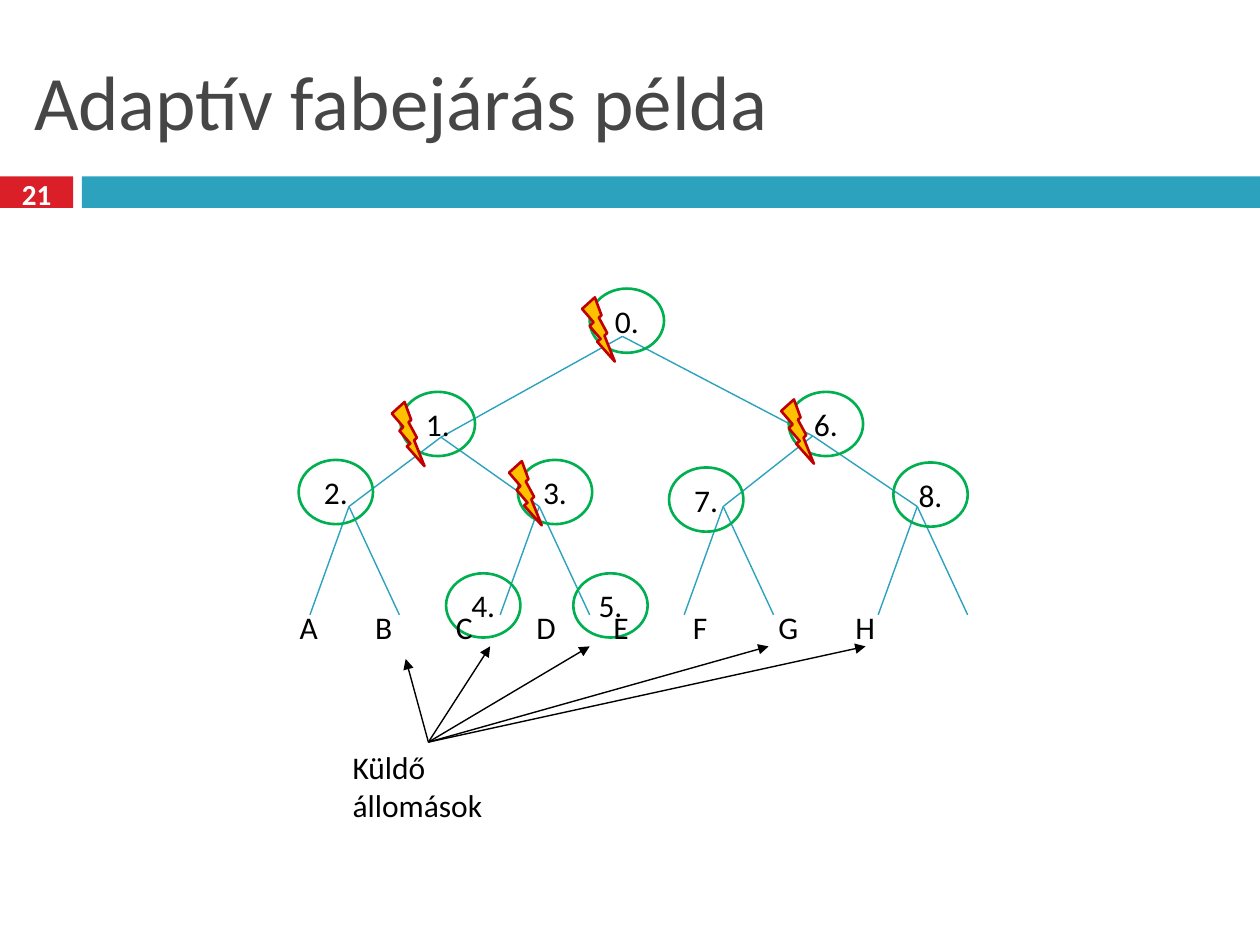
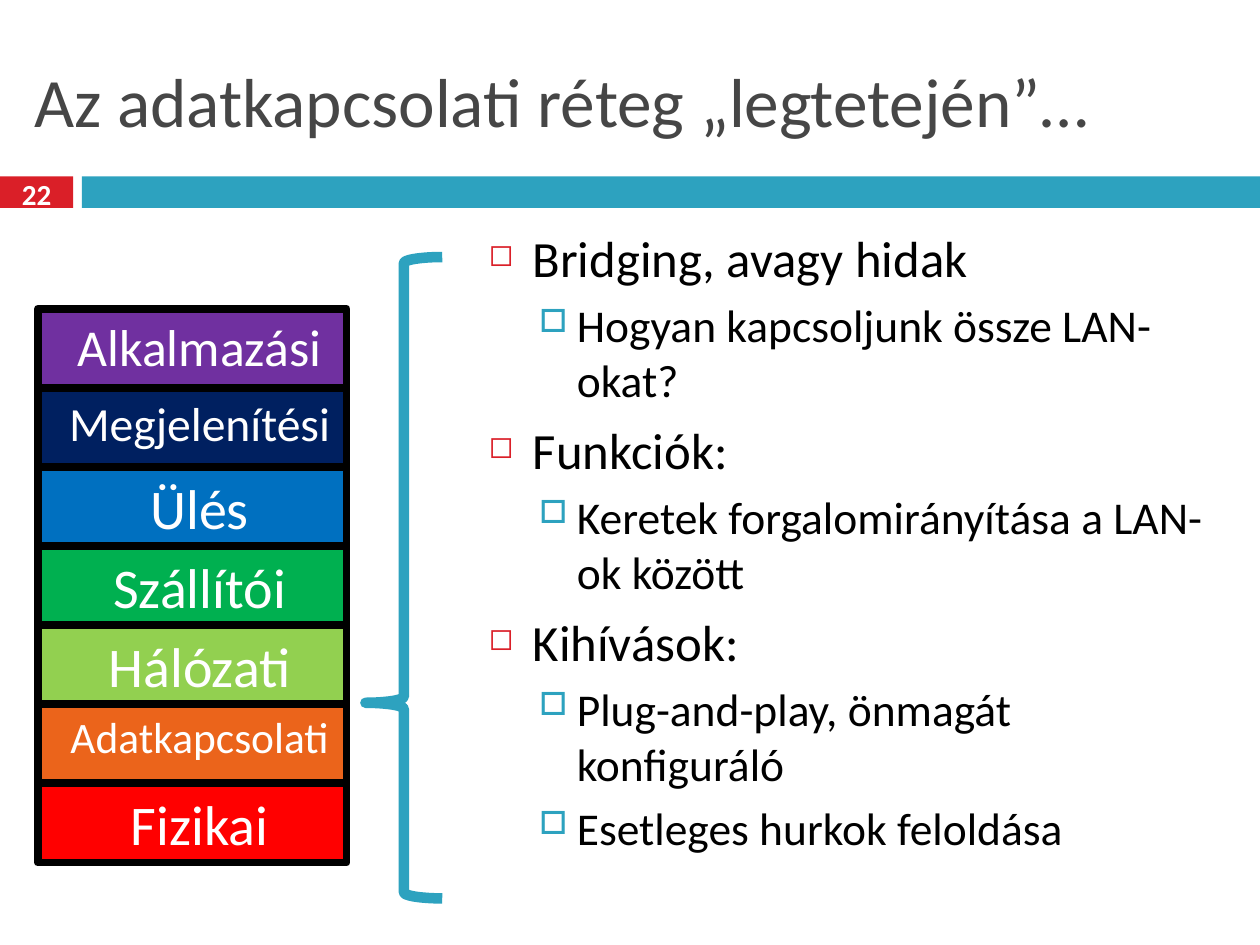
from dataclasses import dataclass
from lxml.etree import SubElement
from pptx import Presentation
from pptx.dml.color import RGBColor
from pptx.enum.shapes import MSO_CONNECTOR as CONN, MSO_SHAPE as SHAPE
from pptx.enum.text import MSO_ANCHOR as ANCHOR, MSO_AUTO_SIZE as FIT, PP_ALIGN as ALIGN
from pptx.oxml.ns import qn
from pptx.util import Inches, Pt

FONT = "Calibri"
BLACK, WHITE, GREY = "000000", "FFFFFF", "464646"
TEAL, RED, GREEN = "2DA2BF", "DA1F28", "00B050"
AMBER, DARK_RED = "FFC000", "C00000"
WIDTH, HEIGHT = Inches(10), Inches(7.5)
COLS, ROWS = 100, 75
COL, ROW = WIDTH / COLS, HEIGHT / ROWS


@dataclass(frozen=True)
class Box:
    col: float
    row: float
    cols: float
    rows: float

    def emu(self) -> tuple[int, ...]:
        return (round(self.col * COL), round(self.row * ROW),
                round(self.cols * COL), round(self.rows * ROW))


@dataclass(frozen=True)
class Point:
    col: float
    row: float

    def emu(self) -> tuple[int, int]:
        return round(self.col * COL), round(self.row * ROW)


@dataclass(frozen=True)
class Layer:
    name: str
    fill: str
    size: float


@dataclass(frozen=True)
class Level:
    size: float
    indent: float
    hang: float
    before: float
    bullet: str
    color: str
    percent: int


TITLE = Box(1.7, 2.5, 96.7, 10.8)
NUMBER_BAND = Box(0, 14, 5.8, 2.5)
NUMBER_TEXT = Box(0, 13.7, 5.8, 3.3)
TITLE_BAND = Box(6.5, 14, 93.5, 2.5)

ROOT = Point(49.4, 26.7)
BRANCHES = [Point(35, 34.7), Point(64.5, 34.6)]
TWIGS = [Point(col, 40.2) for col in (27.7, 42.8, 57.4, 72.8)]
LEAF_ROW, LEAF_OFFSETS = 48.8, (-3.1, 4)
STEPS = [Point(46.8, 22.9), Point(31.8, 31.1), Point(23.7, 36.5),
         Point(41.1, 36.5), Point(35.4, 45.5), Point(45.5, 45.5),
         Point(62.6, 31.1), Point(53.1, 37.1), Point(70.9, 36.7)]
COLLISIONS = [Point(46.2, 23.6), Point(31.1, 31.9), Point(40.4, 36.6), Point(62, 31.7)]
SENDERS = Point(34, 58.9)
SENDING = [Point(32.2, 52.3), Point(38.9, 51.3), Point(46.8, 51.3),
           Point(61, 51.3), Point(68.7, 51.3)]
STATION_TABS = (0.6, 1.24, 1.88, 2.49, 3.12, 3.8, 4.41)

LAYERS = [Layer("Alkalmazási", "7030A0", 29.6), Layer("Megjelenítési", "002060", 27.2),
          Layer("Ülés", "0070C0", 32), Layer("Szállítói", GREEN, 32),
          Layer("Hálózati", "92D050", 32), Layer("Adatkapcsolati", "EB641B", 24.8),
          Layer("Fizikai", "FF0000", 32)]
LAYER_TOP, LAYER_ROWS = 24.5, 6.28

LEVELS = [Level(29, 0.35, 0.35, 7, "◻", RED, 60),
          Level(26, 0.7, 0.3, 5.5, "□", TEAL, 70)]
TOPICS = [(0, "Bridging, avagy hidak"),
          (1, "Hogyan kapcsoljunk össze LAN-okat?"),
          (0, "Funkciók:"),
          (1, "Keretek forgalomirányítása a LAN-ok között"),
          (0, "Kihívások:"),
          (1, "Plug-and-play, önmagát konfiguráló"),
          (1, "Esetleges hurkok feloldása")]


def rgb(value: str) -> RGBColor:
    return RGBColor.from_string(value)


def write(sp, text, *, size=18, color=BLACK, bold=False, align=ALIGN.LEFT,
          anchor=ANCHOR.TOP, inset=0.1, add=False):
    tf = sp.text_frame
    tf.word_wrap = True
    tf.auto_size = FIT.NONE
    tf.vertical_anchor = anchor
    tf.margin_left = tf.margin_right = Inches(inset)
    tf.margin_top = tf.margin_bottom = Inches(inset / 2)
    p = tf.add_paragraph() if add else tf.paragraphs[0]
    p.alignment = align
    r = p.add_run()
    r.text = text
    r.font.name, r.font.size, r.font.bold = FONT, Pt(size), bold
    r.font.color.rgb = rgb(color)
    return p


def text_box(s, box: Box, text: str, **style):
    return write(s.shapes.add_textbox(*box.emu()), text, **style)


def shape(s, kind, box: Box, fill=None, line=None, weight=1.5):
    sp = s.shapes.add_shape(kind, *box.emu())
    sp.shadow.inherit = False
    if fill:
        sp.fill.solid()
        sp.fill.fore_color.rgb = rgb(fill)
    else:
        sp.fill.background()
    if line:
        sp.line.color.rgb = rgb(line)
        sp.line.width = Pt(weight)
    else:
        sp.line.fill.background()
    return sp


def connect(s, start: Point, end: Point, color=TEAL, arrow=False) -> None:
    cx = s.shapes.add_connector(CONN.STRAIGHT, *start.emu(), *end.emu())
    cx.line.color.rgb = rgb(color)
    cx.line.width = Pt(0.79)
    if arrow:
        SubElement(cx.line._get_or_add_ln(), qn("a:tailEnd"), type="triangle")
    SubElement(cx._element.spPr, qn("a:effectLst"))


def set_bullet(p, level: Level) -> None:
    pPr = p._p.get_or_add_pPr()
    pPr.set("marL", str(Inches(level.indent)))
    pPr.set("indent", str(-Inches(level.hang)))
    color = SubElement(pPr, qn("a:buClr"))
    SubElement(color, qn("a:srgbClr"), val=level.color)
    SubElement(pPr, qn("a:buSzPct"), val=str(level.percent * 1000))
    SubElement(pPr, qn("a:buChar"), char=level.bullet)


def new_slide(prs, title: str, number: int, size: float):
    s = prs.slides.add_slide(prs.slide_layouts[5])
    shape(s, SHAPE.RECTANGLE, NUMBER_BAND, RED)
    shape(s, SHAPE.RECTANGLE, TITLE_BAND, TEAL)
    sp = s.shapes.title
    sp.left, sp.top, sp.width, sp.height = TITLE.emu()
    write(sp, title, size=size, color=GREY, anchor=ANCHOR.MIDDLE)
    text_box(s, NUMBER_TEXT, str(number), size=16.6, color=WHITE, bold=True,
             align=ALIGN.CENTER, anchor=ANCHOR.MIDDLE)
    return s


def tree_slide(prs) -> None:
    s = new_slide(prs, "Adaptív fabejárás példa", 21, 44)
    for i, branch in enumerate(BRANCHES):
        connect(s, branch, ROOT)
        for twig in TWIGS[2 * i:2 * i + 2]:
            connect(s, twig, branch)
    for twig in TWIGS:
        for offset in LEAF_OFFSETS:
            connect(s, Point(twig.col + offset, LEAF_ROW), twig)
    for station in SENDING:
        connect(s, SENDERS, station, BLACK, arrow=True)
    text_box(s, Box(27, 58.9, 18, 7), "Küldő állomások")
    for i, step in enumerate(STEPS):
        sp = shape(s, SHAPE.OVAL, Box(step.col, step.row, 5.9, 5.1), line=GREEN)
        write(sp, f"{i}.", align=ALIGN.CENTER, anchor=ANCHOR.MIDDLE, inset=0)
    for hit in COLLISIONS:
        shape(s, SHAPE.LIGHTNING_BOLT, Box(hit.col, hit.row, 2.6, 5.1), AMBER, DARK_RED)
    p = text_box(s, Box(22.8, 47.8, 56.3, 4), "\t".join("ABCDEFGH"))
    tabs = SubElement(p._p.get_or_add_pPr(), qn("a:tabLst"))
    for stop in STATION_TABS:
        SubElement(tabs, qn("a:tab"), pos=str(Inches(stop)), algn="l")


def bridging_slide(prs) -> None:
    s = new_slide(prs, "Az adatkapcsolati réteg „legtetején”…", 22, 39.6)
    body = s.shapes.add_textbox(*Box(37.8, 17.5, 60.6, 55.8).emu())
    for i, (depth, topic) in enumerate(TOPICS):
        level = LEVELS[depth]
        p = write(body, topic, size=level.size, add=i > 0)
        p.level = depth
        if i:
            p.space_before = Pt(level.before)
        set_bullet(p, level)
    for i, layer in enumerate(LAYERS):
        box = Box(3, LAYER_TOP + i * LAYER_ROWS, 24.5, LAYER_ROWS)
        sp = shape(s, SHAPE.RECTANGLE, box, layer.fill, BLACK, 4.5)
        p = write(sp, layer.name, size=layer.size, color=WHITE, align=ALIGN.CENTER)
        p._p.get_or_add_pPr().set("marL", str(Inches(0.12)))
    brace = shape(s, SHAPE.LEFT_BRACE, Box(29, 20.4, 6.1, 50.9), line=TEAL, weight=6)
    brace.adjustments[0], brace.adjustments[1] = 0.08, 0.695


def main() -> None:
    prs = Presentation()
    prs.slide_width, prs.slide_height = WIDTH, HEIGHT
    tree_slide(prs)
    bridging_slide(prs)
    prs.save("out.pptx")


if __name__ == "__main__":
    main()
